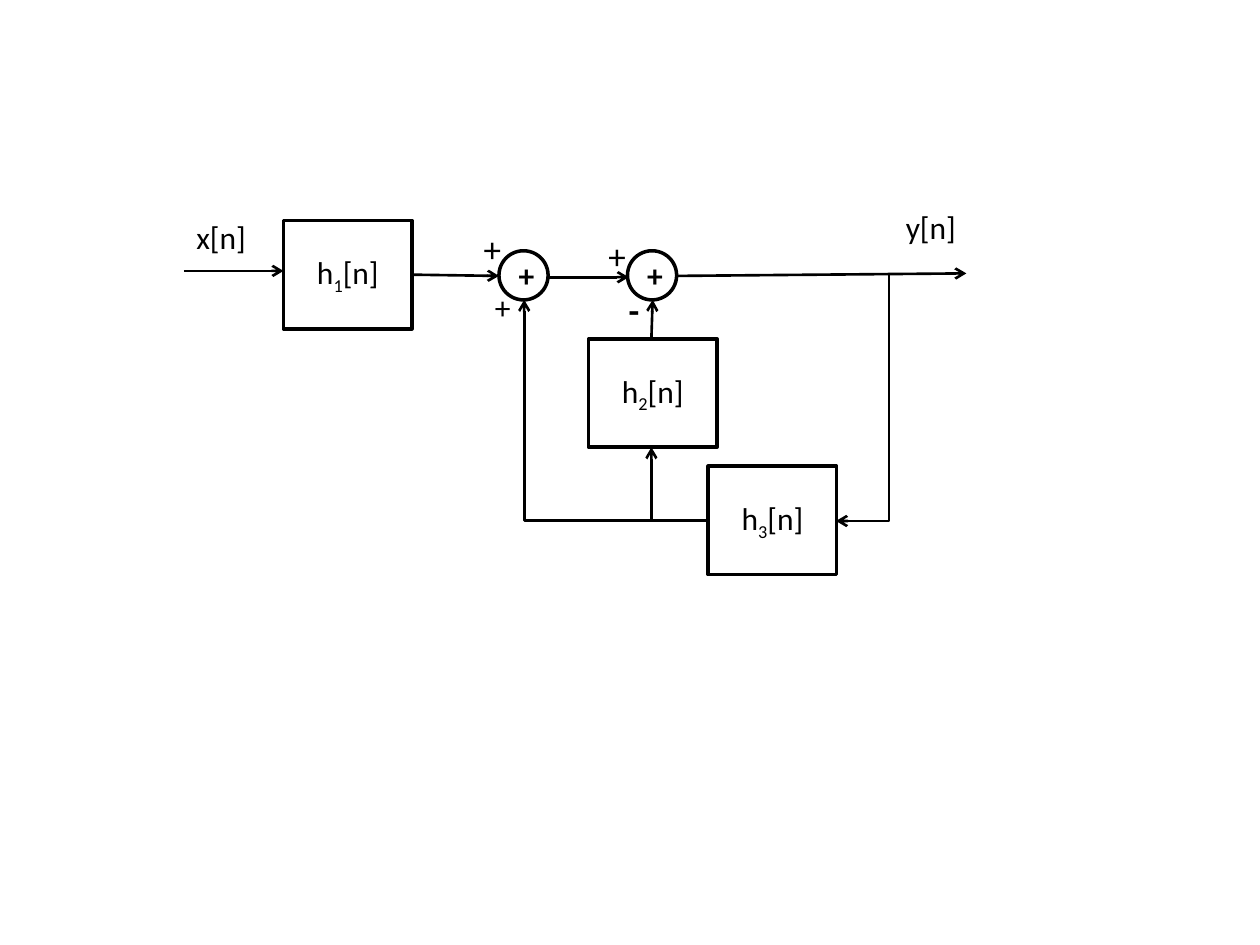
from lxml import etree
from pptx import Presentation
from pptx.dml.color import RGBColor
from pptx.enum.shapes import MSO_CONNECTOR, MSO_SHAPE
from pptx.enum.text import MSO_ANCHOR, MSO_AUTO_SIZE, PP_ALIGN
from pptx.oxml.ns import qn
from pptx.util import Inches, Pt

RECT, OVAL = MSO_SHAPE.RECTANGLE, MSO_SHAPE.OVAL
STRAIGHT, ELBOW = MSO_CONNECTOR.STRAIGHT, MSO_CONNECTOR.ELBOW
MIDDLE, CENTER = MSO_ANCHOR.MIDDLE, PP_ALIGN.CENTER
GROW = MSO_AUTO_SIZE.SHAPE_TO_FIT_TEXT

COLORS = {"ink": "000000", "page": "FFFFFF"}
WIDE, HIGH = 10, 7.5
COLS, ROWS = 100, 75
BLOCK = (10.2, 8.6)
RING = (3.9, 3.9)
SUM_ROW = 19.9
LABEL = {"word_wrap": False, "auto_size": GROW}
INNER = {"word_wrap": True, "vertical_anchor": MIDDLE}


def color(name):
    return RGBColor.from_string(COLORS[name])


def col(x):
    return Inches(x * WIDE / COLS)


def row(y):
    return Inches(y * HIGH / ROWS)


def apply(item, values):
    for key, value in values.items():
        setattr(item, key, value)


def write(frame, parts, size=18, bold=False):
    line = frame.paragraphs[0]
    for text, base in parts:
        run = line.add_run()
        run.text = text
        apply(run.font, {"name": "Calibri", "size": Pt(size), "bold": bold})
        run.font.color.rgb = color("ink")
        if base:
            run._r.get_or_add_rPr().set("baseline", str(base * 1000))
    return line


def add_node(slide, kind, spot, span, parts, bold=False):
    node = slide.shapes.add_shape(
        kind, col(spot[0]), row(spot[1]), col(span[0]), row(span[1]))
    node.shadow.inherit = False
    node.fill.background()
    node.line.color.rgb = color("ink")
    node.line.width = Pt(2)
    apply(node.text_frame, INNER)
    write(node.text_frame, parts, bold=bold).alignment = CENTER


def add_block(slide, x, y, index):
    parts = [("h", 0), (index, -25), ("[n]", 0)]
    add_node(slide, RECT, (x, y), BLOCK, parts)


def add_sum(slide, x):
    add_node(slide, OVAL, (x, SUM_ROW), RING, [("+", 0)], True)


def add_arrow(slide, start, end, kind=STRAIGHT):
    arrow = slide.shapes.add_connector(
        kind, col(start[0]), row(start[1]), col(end[0]), row(end[1]))
    arrow.line.color.rgb = color("ink")
    arrow.line.width = Pt(1.5)
    head = etree.SubElement(arrow.line._get_or_add_ln(), qn("a:tailEnd"))
    head.set("type", "arrow")
    etree.SubElement(arrow._element.spPr, qn("a:effectLst"))
    return arrow


def add_bend(slide, spot, span, turn):
    end = (spot[0] + span[0], spot[1] + span[1])
    props = add_arrow(slide, spot, end, ELBOW)._element.spPr
    props.find(qn("a:prstGeom")).set("prst", "bentConnector2")
    props.find(qn("a:xfrm")).set("rot", str(turn * 60000))


def add_label(slide, spot, span, text, size=18, bold=False):
    box = slide.shapes.add_textbox(
        col(spot[0]), row(spot[1]), col(span[0]), row(span[1]))
    apply(box.text_frame, LABEL)
    write(box.text_frame, [(text, 0)], size, bold)


def main():
    deck = Presentation()
    apply(deck, {"slide_width": Inches(WIDE), "slide_height": Inches(HIGH)})
    slide = deck.slides.add_slide(deck.slide_layouts[6])
    fill = slide.background.fill
    fill.solid()
    fill.fore_color.rgb = color("page")

    for x, y, index in [(22.5, 17.5, "1"), (56.2, 37, "3"), (46.7, 26.9, "2")]:
        add_block(slide, x, y, index)
    for x in (39.6, 49.8):
        add_sum(slide, x)

    for start, end in [
        ((14.6, 21.5), (22.5, 21.5)),
        ((32.7, 21.8), (39.6, 21.9)),
        ((43.6, 22), (49.9, 22)),
        ((53.7, 21.9), (76.7, 21.7)),
        ((51.7, 26.9), (51.8, 23.8)),
        ((51.7, 41.4), (51.7, 35.5)),
    ]:
        add_arrow(slide, start, end)
    add_bend(slide, (41.6, 23.8), (14.6, 17.5), 180)
    add_bend(slide, (58.6, 29.4), (19.7, 4.2), 90)

    add_label(slide, (14.6, 16.8), (6.2, 4), "x[n]")
    add_label(slide, (70.9, 16), (6.2, 4), "y[n]")
    for x, y in [(37.4, 17.6), (47.3, 18.1)]:
        add_label(slide, (x, y), (3.4, 4.4), "+", 20)
    add_label(slide, (48.9, 22.4), (2.9, 4.4), "-", 20, True)
    add_label(slide, (38.3, 22.4), (3.3, 4), "+")
    deck.save("out.pptx")


if __name__ == "__main__":
    main()
